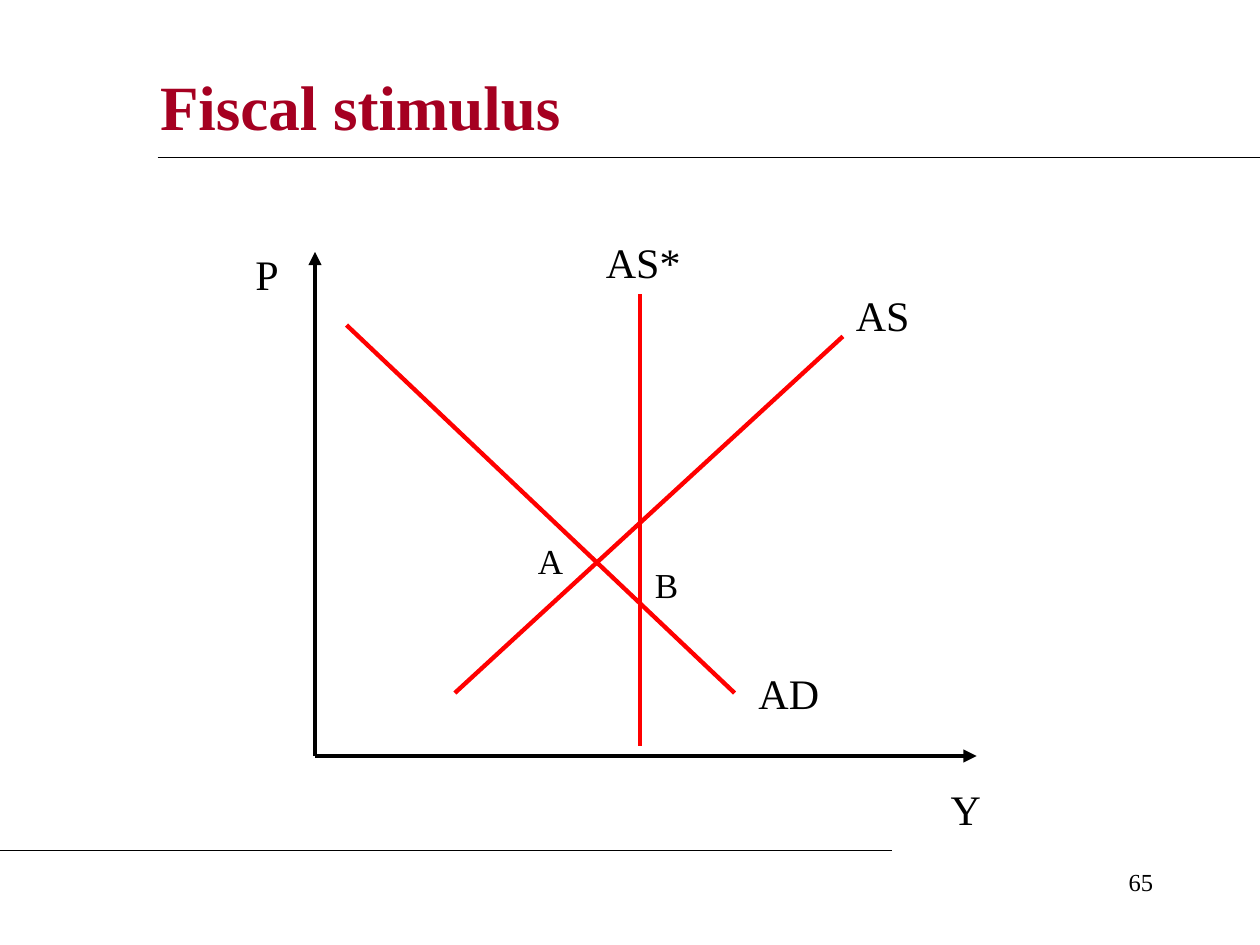
from typing import NamedTuple

from lxml import etree
from pptx import Presentation
from pptx.dml.color import RGBColor
from pptx.enum import shapes, text
from pptx.oxml import ns
from pptx.util import Inches, Pt

BLACK = RGBColor(0x00, 0x00, 0x00)
RED = RGBColor(0xFF, 0x00, 0x00)
WINE = RGBColor(0xA5, 0x00, 0x21)
FONT = "Times New Roman"


class Line(NamedTuple):
    x1: float
    y1: float
    x2: float
    y2: float
    color: RGBColor = BLACK
    width: float = 2.5
    arrow: bool = False


class Label(NamedTuple):
    words: str
    left: float
    top: float
    width: float
    height: float = 0.5
    size: int = 24
    align: text.PP_ALIGN = text.PP_ALIGN.CENTER


RULES = [
    Line(1.25, 1.25, 10, 1.25, width=0.75),
    Line(0, 6.75, 7.08, 6.75, width=0.75),
]
AXES = [
    Line(2.5, 6, 7.75, 6, arrow=True),
    Line(2.5, 6, 2.5, 2, arrow=True),
]
CURVES = [
    Line(3.61, 5.5, 6.69, 2.67, RED),
    Line(5.83, 5.5, 2.75, 2.58, RED),
    Line(5.08, 5.92, 5.08, 2.33, RED),
]
LABELS = [
    Label("Y", 7.33, 6.17, 0.67),
    Label("P", 1.83, 1.92, 0.58),
    Label("AS", 6.67, 2.25, 0.67),
    Label("AD", 5.8, 5.25, 0.92),
    Label("AS*", 4.69, 1.83, 0.83),
    Label("A", 4.08, 4.23, 0.58, 0.44, 20),
    Label("B", 5, 4.42, 0.58, 0.44, 20),
    Label("65", 7.17, 6.83, 2.08, size=14, align=text.PP_ALIGN.RIGHT),
]


def write(frame, words: str, *, size: int, color: RGBColor = BLACK,
          bold: bool = False, align=text.PP_ALIGN.LEFT,
          anchor=text.MSO_ANCHOR.TOP) -> None:
    frame.word_wrap = True
    frame.vertical_anchor = anchor
    para = frame.paragraphs[0]
    para.alignment = align
    run = para.add_run()
    run.text = words
    run.font.name = FONT
    run.font.size = Pt(size)
    run.font.bold = bold
    run.font.color.rgb = color


def draw_line(slide, line: Line) -> None:
    ends = [Inches(v) for v in line[:4]]
    shape = slide.shapes.add_connector(shapes.MSO_CONNECTOR.STRAIGHT, *ends)
    shape.line.color.rgb = line.color
    shape.line.width = Pt(line.width)
    if line.arrow:
        stroke = shape.line._get_or_add_ln()
        etree.SubElement(stroke, ns.qn("a:tailEnd"), type="triangle")
    # An empty effect list turns the theme shadow off
    etree.SubElement(shape._element.spPr, ns.qn("a:effectLst"))


def draw_label(slide, label: Label) -> None:
    place = [Inches(v) for v in label[1:5]]
    box = slide.shapes.add_textbox(*place)
    write(box.text_frame, label.words, size=label.size, align=label.align)


def main() -> None:
    deck = Presentation()
    deck.slide_width, deck.slide_height = Inches(10), Inches(7.5)
    slide = deck.slides.add_slide(deck.slide_layouts[5])

    # Title
    title = slide.shapes.title
    title.left, title.top = Inches(1.17), Inches(0.42)
    title.width, title.height = Inches(8.5), Inches(0.83)
    write(title.text_frame, "Fiscal stimulus", size=36, color=WINE,
          bold=True, anchor=text.MSO_ANCHOR.MIDDLE)

    # Page rules, axes and curves
    for line in RULES + AXES + CURVES:
        draw_line(slide, line)

    # Diagram labels and page number
    for label in LABELS:
        draw_label(slide, label)

    deck.save("out.pptx")


if __name__ == "__main__":
    main()
